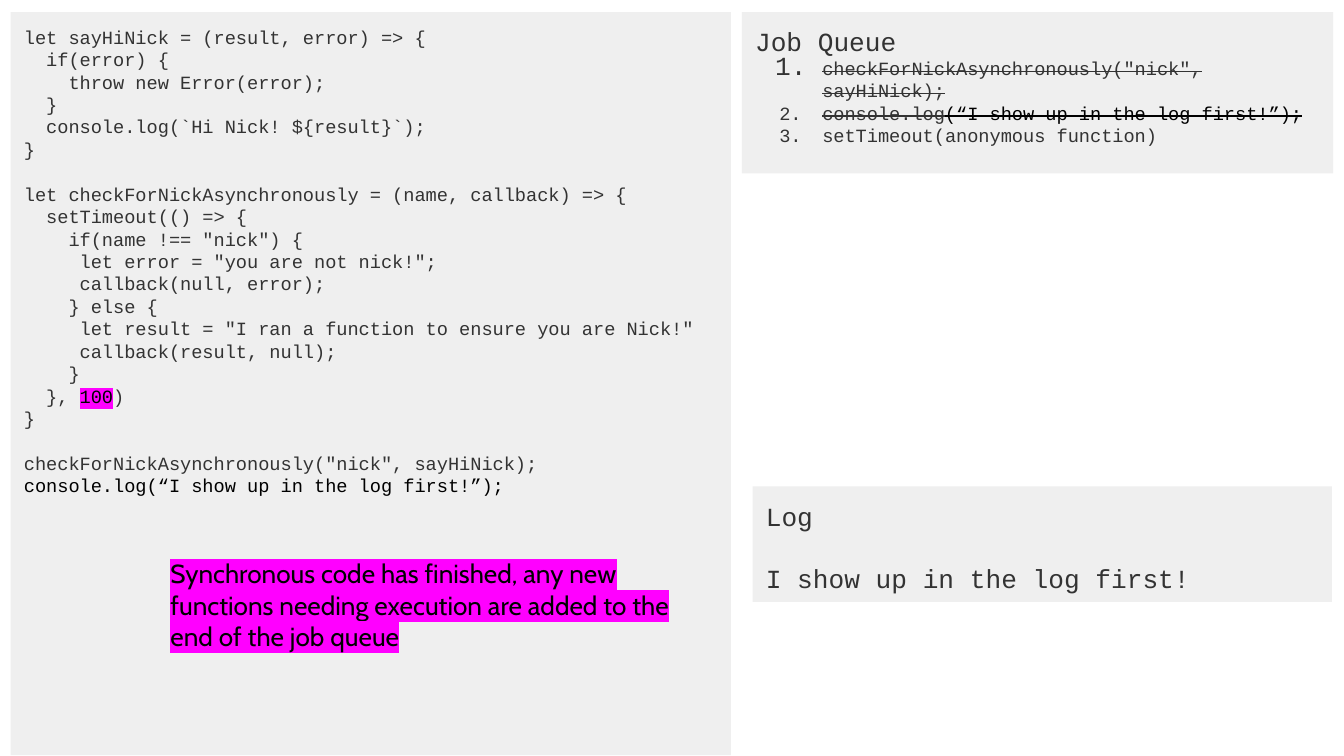
import pptx
import pptx.dml.color
import pptx.enum.shapes
import pptx.enum.text
import pptx.oxml.ns
import pptx.util
from lxml import etree

Inches, Pt = pptx.util.Inches, pptx.util.Pt
qn = pptx.oxml.ns.qn

# Content: a paragraph is a list of (text, format) runs
MONO, SANS = "Courier New", "Cabin"
GRAY, BLACK, PANEL, MAGENTA = "333333", "000000", "EFEFEF", "FF00FF"
CODE = {"size": 10, "name": MONO, "color": GRAY}
CODE_BLACK = {**CODE, "color": BLACK}
CODE_MARKED = {**CODE_BLACK, "highlight": MAGENTA}
DONE = {**CODE, "strike": True}
DONE_BLACK = {**DONE, "color": BLACK}
HEADING = {**CODE, "size": 14}
NOTE = {"size": 14, "name": SANS, "color": BLACK, "highlight": MAGENTA}

# Code blocks, parted by one empty line each
code_blocks = [
    [
        "let sayHiNick = (result, error) => {",
        "  if(error) {",
        "    throw new Error(error);",
        "  }",
        "  console.log(`Hi Nick! ${result}`);",
        "}",
    ],
    [
        "let checkForNickAsynchronously = (name, callback) => {",
        "  setTimeout(() => {",
        '    if(name !== "nick") {',
        '     let error = "you are not nick!";',
        "     callback(null, error);",
        "    } else {",
        '     let result = "I ran a function to ensure you are Nick!"',
        "     callback(result, null);",
        "    }",
        [("  }, ", CODE), ("100", CODE_MARKED), (")", CODE)],
        "}",
    ],
    [
        'checkForNickAsynchronously("nick", sayHiNick);',
        [("console.log(“I show up in the log first!”);", CODE_BLACK)],
    ],
]
jobs = [
    [('checkForNickAsynchronously("nick", sayHiNick);', DONE)],
    [("console.log", DONE), ("(“I show up in the log first!”);", DONE_BLACK)],
    [("setTimeout(anonymous function)", CODE)],
]
log_lines = ["I show up in the log first!"]
note = ("Synchronous code has finished, any new functions needing execution "
        "are added to the end of the job queue")

# Left, top, width, height
CODE_BOX = (0.08, 0.09, 5.36, 5.53)
QUEUE_BOX = (5.52, 0.09, 4.4, 1.2)
LOG_BOX = (5.6, 3.62, 4.31, 0.86)
NOTE_BOX = (1.17, 4.05, 4.14, 0.43)
LINE = 1.2  # line height relative to the text size


def rgb(value):
    return pptx.dml.color.RGBColor.from_string(value)


def add_box(s, box, fill=None):
    at = [Inches(v) for v in box]
    if fill:
        sp = s.shapes.add_shape(pptx.enum.shapes.MSO_SHAPE.RECTANGLE, *at)
        sp.shadow.inherit = False
        sp.fill.solid()
        sp.fill.fore_color.rgb = rgb(fill)
        sp.line.fill.background()
    else:
        sp = s.shapes.add_textbox(*at)
    tf = sp.text_frame
    frame = {"word_wrap": True, "vertical_anchor": pptx.enum.text.MSO_ANCHOR.TOP}
    frame.update({f"margin_{side}": Inches(0.1)
                  for side in ("left", "top", "right", "bottom")})
    for key, value in frame.items():
        setattr(tf, key, value)
    return tf


def add_line(tf, runs, gap=0):
    p = tf.paragraphs[0]
    if p.runs:
        p = tf.add_paragraph()
    p.alignment = pptx.enum.text.PP_ALIGN.LEFT
    if gap:
        p.space_before = Pt(gap)
    for text, fmt in runs:
        r = p.add_run()
        r.text = text
        for key, value in {"name": fmt["name"], "size": Pt(fmt["size"])}.items():
            setattr(r.font, key, value)
        r.font.color.rgb = rgb(fmt["color"])
        rpr = r._r.get_or_add_rPr()
        if fmt.get("strike"):
            rpr.set("strike", "sngStrike")
        if "highlight" in fmt:
            mark = etree.Element(qn("a:highlight"))
            etree.SubElement(mark, qn("a:srgbClr"), val=fmt["highlight"])
            rpr.find(qn("a:solidFill")).addnext(mark)
    return p


def number(p, hanging, percent=None):
    ppr = p._p.get_or_add_pPr()
    ppr.set("marL", str(Inches(0.5)))
    ppr.set("indent", str(-Inches(hanging)))
    color = etree.SubElement(ppr, qn("a:buClr"))
    etree.SubElement(color, qn("a:srgbClr"), val=GRAY)
    if percent:
        etree.SubElement(ppr, qn("a:buSzPct"), val=str(percent * 1000))
    etree.SubElement(ppr, qn("a:buFont"), typeface=MONO)
    etree.SubElement(ppr, qn("a:buAutoNum"), type="arabicPeriod")


# Widescreen slide, 16 to 9
prs = pptx.Presentation()
prs.slide_width, prs.slide_height = Inches(10), Inches(10 * 9 / 16)
s = prs.slides.add_slide(prs.slide_layouts[6])

# Code panel
tf = add_box(s, CODE_BOX, PANEL)
for b, block in enumerate(code_blocks):
    for i, line in enumerate(block):
        runs = [(line, CODE)] if isinstance(line, str) else line
        add_line(tf, runs, CODE["size"] * LINE if b and i == 0 else 0)

# Log panel
tf = add_box(s, LOG_BOX, PANEL)
add_line(tf, [("Log", HEADING)])
for i, line in enumerate(log_lines):
    add_line(tf, [(line, HEADING)], HEADING["size"] * LINE if i == 0 else 0)

# Highlighted note
add_line(add_box(s, NOTE_BOX), [(note, NOTE)])

# Job queue with a larger first number
tf = add_box(s, QUEUE_BOX, PANEL)
add_line(tf, [("Job Queue", HEADING)])
for i, job in enumerate(jobs):
    p = add_line(tf, job)
    if i == 0:
        number(p, 0.35, 140)
    else:
        number(p, 0.32)

prs.save("out.pptx")
